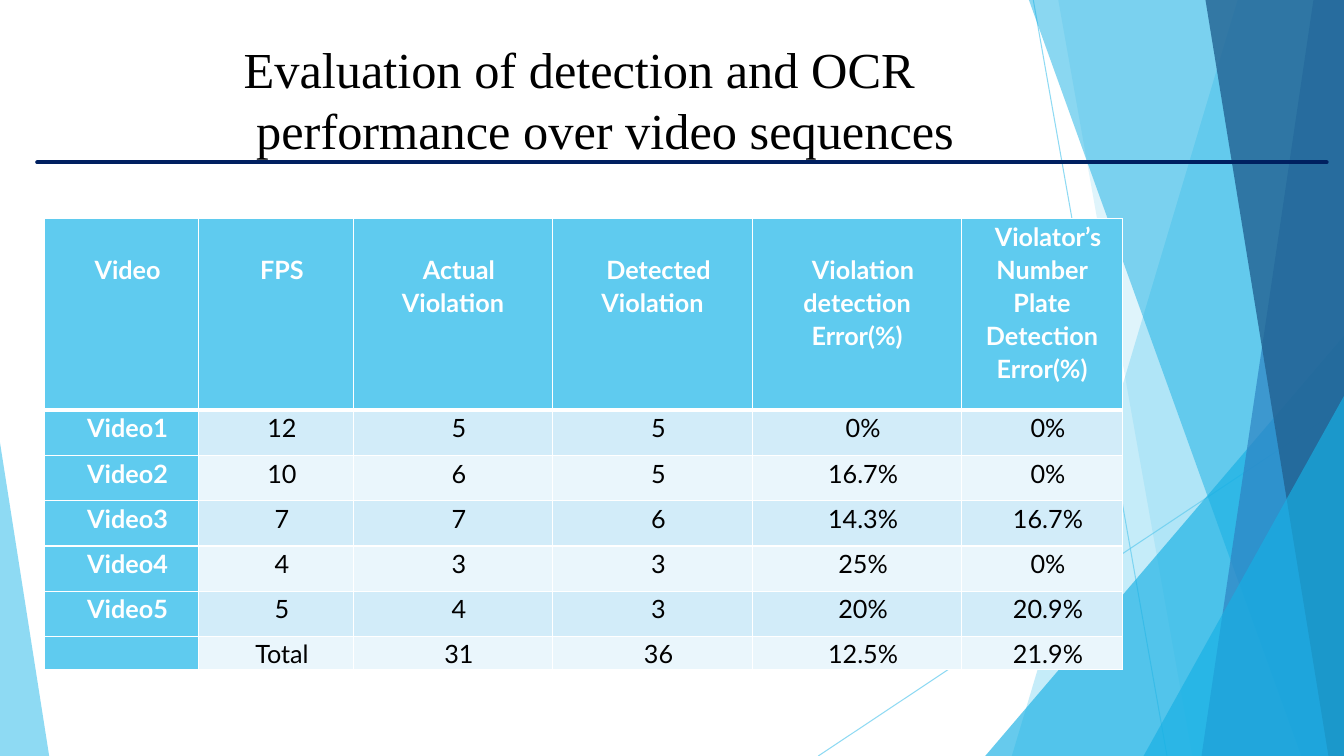
from dataclasses import dataclass

from lxml.etree import SubElement
from pptx import Presentation
from pptx.dml.color import RGBColor as Rgb
from pptx.enum.shapes import MSO_CONNECTOR as Link, MSO_SHAPE as Preset
from pptx.enum.text import PP_ALIGN as Align
from pptx.oxml import parse_xml
from pptx.oxml.ns import nsdecls, qn
from pptx.util import Cm, Pt


@dataclass(frozen=True)
class Theme:
    sky: str = "5FCBEF"
    azure: str = "17B0E4"
    blue: str = "2E83C3"
    deep: str = "226292"
    navy: str = "002060"
    white: str = "FFFFFF"
    black: str = "000000"
    bands: tuple = ("D2ECF9", "EAF6FC")
    title_font: str = "Times New Roman"
    table_font: str = "Lato"
    title_size: int = 36
    table_size: int = 18


@dataclass(frozen=True)
class Box:
    left: float
    top: float
    width: float
    height: float

    @property
    def right(self):
        return self.left + self.width

    @property
    def bottom(self):
        return self.top + self.height


THEME = Theme()
PAGE = Box(0, 0, 33.87, 19.05)
TITLE = ["Evaluation of detection and OCR", " performance over video sequences"]
COLUMNS = [3.89, 3.89, 5.03, 5.03, 5.28, 4.04]
ROWS = [4.83] + [1.14] * 5 + [0.79]
RESULTS = [
    ["Video", "FPS", "Actual Violation", "Detected Violation",
     "Violation detection Error(%)", "Violator’s Number Plate Detection Error(%)"],
    ["Video1", "12", "5", "5", "0%", "0%"],
    ["Video2", "10", "6", "5", "16.7%", "0%"],
    ["Video3", "7", "7", "6", "14.3%", "16.7%"],
    ["Video4", "4", "3", "3", "25%", "0%"],
    ["Video5", "5", "4", "3", "20%", "20.9%"],
    ["", "Total", "31", "36", "12.5%", "21.9%"],
]


def set_opacity(shape, percent):
    for color in shape.element.spPr.iter(qn("a:srgbClr")):
        SubElement(color, qn("a:alpha"), val=str(percent * 1000))


def paint(shape, color, percent):
    shape.shadow.inherit = False
    shape.fill.solid()
    shape.fill.fore_color.rgb = Rgb.from_string(color)
    shape.line.fill.background()
    set_opacity(shape, percent)


def add_line(page, start, end, color, width):
    line = page.shapes.add_connector(Link.STRAIGHT, *map(Cm, start + end))
    line.line.color.rgb = Rgb.from_string(color)
    line.line.width = Pt(width)
    SubElement(line.element.spPr, qn("a:effectLst"))
    return line


def add_band(page, box, top_x, bottom_x, color, percent):
    corners = [(box.right, box.top), (box.right, box.bottom),
               (box.left + bottom_x, box.bottom)]
    outline = page.shapes.build_freeform(Cm(box.left + top_x), Cm(box.top), scale=1.0)
    outline.add_line_segments([(Cm(x), Cm(y)) for x, y in corners], close=True)
    paint(outline.convert_to_shape(), color, percent)


def add_corner(page, box, peak, color, percent):
    corner = page.shapes.add_shape(
        Preset.ISOSCELES_TRIANGLE,
        Cm(box.left), Cm(box.top), Cm(box.width), Cm(box.height))
    corner.adjustments[0] = peak
    paint(corner, color, percent)


def add_backdrop(page, box):
    def right_corner(width, height):
        spot = Box(box.right - width, box.bottom - height, width, height)
        add_corner(page, spot, 1, THEME.azure, 66)

    rays = [((26.04, 0), (29.41, box.height)), ((box.width, 10.24), (20.62, box.height))]
    for start, end in rays:
        ends = [(box.left + x, box.top + y) for x, y in (start, end)]
        set_opacity(add_line(page, *ends, THEME.sky, 0.75), 70)
    add_band(page, box, 31.19, 25.5, THEME.sky, 36)
    add_band(page, box, 26.67, 30.05, THEME.sky, 20)
    right_corner(9.04, 10.59)
    add_band(page, box, 25.93, 32.79, THEME.azure, 50)
    add_band(page, box, 33.1, 30.28, THEME.blue, 70)
    add_band(page, box, 30.38, 33.48, THEME.deep, 80)
    right_corner(5.05, 9.07)
    add_corner(page, Box(box.left, box.bottom - 7.9, 1.24, 7.9), 0, THEME.sky, 70)


def add_span(para, text, font, size, color, bold=False):
    span = para.add_run()
    span.text = text
    span.font.name = font
    span.font.size = Pt(size)
    span.font.bold = bold
    span.font.color.rgb = Rgb.from_string(color)


def add_title(page, box):
    frame = page.shapes.add_textbox(
        Cm(box.left), Cm(box.top), Cm(box.width), Cm(box.height)).text_frame
    frame.word_wrap = False
    for index, text in enumerate(TITLE):
        para = frame.add_paragraph() if index else frame.paragraphs[0]
        add_span(para, text, THEME.title_font, THEME.title_size, THEME.black)


def set_borders(cell, row):
    properties = cell._tc.get_or_add_tcPr()
    widths = {"L": 1, "R": 1, "T": 3 if row == 1 else 1, "B": 3 if row == 0 else 1}
    for index, (side, width) in enumerate(widths.items()):
        properties.insert(index, parse_xml(
            f'<a:ln{side} {nsdecls("a")} w="{Pt(width)}"><a:solidFill>'
            f'<a:srgbClr val="{THEME.white}"/></a:solidFill></a:ln{side}>'))


def fill_cell(cell, text, row, column):
    heading = row == 0 or column == 0
    last_heading = column == len(COLUMNS) - 1
    cell.margin_left = cell.margin_right = Cm(0.18)
    cell.margin_top = Cm(0.83 if row == 0 and not last_heading else 0)
    cell.margin_bottom = Cm(0)
    cell.fill.solid()
    cell.fill.fore_color.rgb = Rgb.from_string(
        THEME.sky if heading else THEME.bands[(row - 1) % 2])
    set_borders(cell, row)
    para = cell.text_frame.paragraphs[0]
    para.alignment = Align.CENTER
    para.line_spacing = 1.09
    para.space_after = Pt(0.1)
    para._p.get_or_add_pPr().set("indent", str(Cm(0.3)))
    if text:
        color = THEME.white if heading else THEME.black
        add_span(para, text, THEME.table_font, THEME.table_size, color, heading)


def add_results(page, box):
    table = page.shapes.add_table(
        len(ROWS), len(COLUMNS),
        Cm(box.left), Cm(box.top), Cm(box.width), Cm(box.height)).table
    for column, width in zip(table.columns, COLUMNS):
        column.width = Cm(width)
    for row, height in zip(table.rows, ROWS):
        row.height = Cm(height)
    for row, texts in enumerate(RESULTS):
        for column, text in enumerate(texts):
            fill_cell(table.cell(row, column), text, row, column)


def main():
    deck = Presentation()
    deck.slide_width, deck.slide_height = Cm(PAGE.width), Cm(PAGE.height)
    page = deck.slides.add_slide(deck.slide_layouts[6])
    add_backdrop(page, PAGE)
    rule = add_line(page, (0.94, 4.09), (33.43, 4.09), THEME.navy, 3)
    rule.line._get_or_add_ln().set("cap", "rnd")
    add_title(page, Box(5.89, 0.84, 18.62, 3.33))
    add_results(page, Box(1.12, 5.51, sum(COLUMNS), sum(ROWS)))
    deck.save("out.pptx")


if __name__ == "__main__":
    main()
